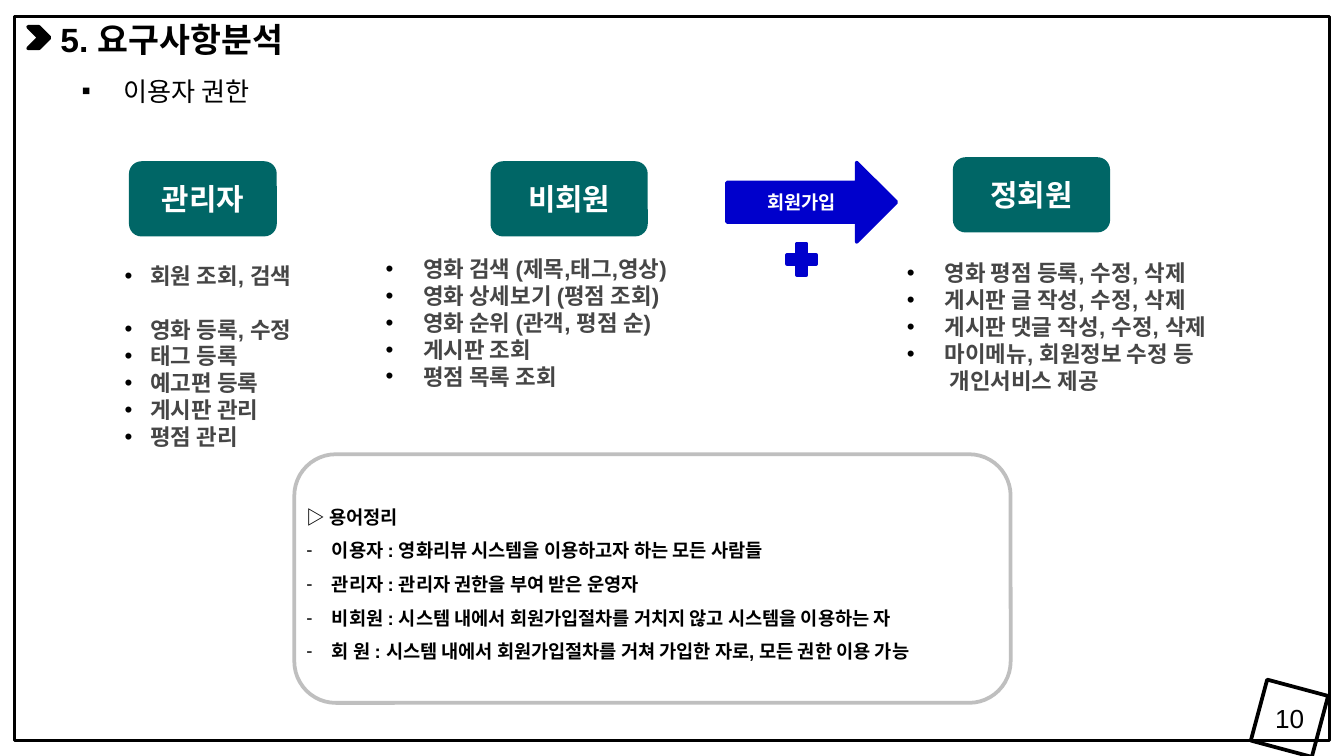
import pptx
import pptx.util
import pptx.dml.color
import pptx.enum.shapes
import pptx.enum.text
import pptx.oxml.ns
from lxml import etree

Inches = pptx.util.Inches
Pt = pptx.util.Pt
RGBColor = pptx.dml.color.RGBColor
SHAPE = pptx.enum.shapes.MSO_SHAPE
ALIGN = pptx.enum.text.PP_ALIGN
ANCHOR = pptx.enum.text.MSO_ANCHOR
qn = pptx.oxml.ns.qn

BLACK = RGBColor(0x00, 0x00, 0x00)
WHITE = RGBColor(0xFF, 0xFF, 0xFF)
TEAL = RGBColor(0x00, 0x66, 0x66)
BLUE = RGBColor(0x00, 0x00, 0xCC)
GREY = RGBColor(0x46, 0x46, 0x46)
SILVER = RGBColor(0xBF, 0xBF, 0xBF)
KOREAN = "Noto Sans CJK KR"

TITLE = {"size": Pt(18), "bold": True, "name": "Arial"}
SUBTITLE = {"size": Pt(14), "bold": False, "name": KOREAN}
ROLE = {"size": Pt(16), "bold": True, "name": "Arial"}
RIGHT = {"size": Pt(12), "bold": True, "name": "Arial"}
SMALL = {"size": Pt(10), "bold": True, "name": "Arial"}
NUMBER = {"size": Pt(14), "bold": False, "name": "Arial"}

CENTERED = {"alignment": ALIGN.CENTER}
NO_INSETS = {"margin_left": 0, "margin_top": 0, "margin_right": 0, "margin_bottom": 0}

ROLES = [
    ((0.96, 1.2, 1.1, 0.56), "관리자", (0.83, 1.9, 1.56, 1.31), 0.19, 0.19,
     ["회원 조회, 검색", "영화 등록, 수정", "태그 등록", "예고편 등록", "게시판 관리", "평점 관리"]),
    ((3.65, 1.2, 1.17, 0.56), "비회원", (2.7, 1.85, 2.72, 1.11), 0.35, 0.28,
     ["영화 검색 (제목,태그,영상)", "영화 상세보기 (평점 조회)", "영화 순위 (관객, 평점 순)",
      "게시판 조회", "평점 목록 조회"]),
    ((7.09, 1.17, 1.17, 0.56), "정회원", (6.58, 1.88, 2.85, 1.11), 0.35, 0.28,
     ["영화 평점 등록, 수정, 삭제", "게시판 글 작성, 수정, 삭제", "게시판 댓글 작성, 수정, 삭제",
      "마이메뉴, 회원정보 수정 등\v 개인서비스 제공"]),
]
TERMS = [
    "이용자 : 영화리뷰 시스템을 이용하고자 하는 모든 사람들",
    "관리자 : 관리자 권한을 부여 받은 운영자",
    "비회원 : 시스템 내에서 회원가입절차를 거치지 않고 시스템을 이용하는 자",
    "회 원 : 시스템 내에서 회원가입절차를 거쳐 가입한 자로, 모든 권한 이용 가능",
]


def apply(target, values):
    for key, value in values.items():
        setattr(target, key, value)


def place(box):
    return [Inches(length) for length in box]


def add_bullet(paragraph, mark, left, hang):
    properties = paragraph._p.get_or_add_pPr()
    properties.set("marL", str(Inches(left)))
    properties.set("indent", str(-Inches(hang)))
    color = etree.SubElement(properties, qn("a:buClr"))
    etree.SubElement(color, qn("a:srgbClr"), val=str(BLACK))
    etree.SubElement(properties, qn("a:buFont"), typeface="Arial")
    etree.SubElement(properties, qn("a:buChar"), char=mark)


def write(paragraph, text, style, color, layout=None, bullet=None):
    if bullet:
        add_bullet(paragraph, *bullet)
    paragraph.text = text
    apply(paragraph, layout or {})
    for run in paragraph.runs:
        apply(run.font, style)
        run.font.color.rgb = color
        run.font._element.set("kern", "0")
        etree.SubElement(run.font._element, qn("a:ea"), typeface=KOREAN)


def add_figure(shapes, kind, box, fill=None, line=None, width=2):
    figure = shapes.add_shape(kind, *place(box))
    figure.shadow.inherit = False
    if fill is None:
        figure.fill.background()
    else:
        figure.fill.solid()
        figure.fill.fore_color.rgb = fill
    if line is None:
        figure.line.fill.background()
    else:
        figure.line.color.rgb = line
        figure.line.width = Pt(width)
    return figure


def add_text_frame(shapes, box, wrap=True):
    frame = shapes.add_textbox(*place(box)).text_frame
    frame.word_wrap = wrap
    return frame


def add_heading(slide, box):
    left, top, width, height = box
    add_figure(slide.shapes, SHAPE.CHEVRON, (left, top + 0.11, 0.16, 0.16), BLACK, BLACK)
    title = slide.shapes.title
    apply(title, dict(zip(("left", "top", "width", "height"),
                          place((left + 0.14, top, width - 0.14, 0.4)))))
    apply(title.text_frame, {"word_wrap": True, "vertical_anchor": ANCHOR.TOP})
    write(title.text_frame.paragraphs[0], "5. 요구사항분석", TITLE, BLACK, {"alignment": ALIGN.LEFT})
    subtitle = add_text_frame(slide.shapes, (left + 0.3, top + 0.42, 1.56, 0.34), False)
    write(subtitle.paragraphs[0], "이용자 권한", SUBTITLE, BLACK, bullet=("▪", 0.31, 0.31))


def add_role(slide, button_box, role, list_box, left, hang, rights):
    button = add_figure(slide.shapes, SHAPE.ROUNDED_RECTANGLE, button_box, TEAL)
    apply(button.text_frame, {**NO_INSETS, "vertical_anchor": ANCHOR.MIDDLE})
    write(button.text_frame.paragraphs[0], role, ROLE, WHITE, CENTERED)
    frame = add_text_frame(slide.shapes, list_box)
    for index, right in enumerate(rights):
        paragraph = frame.add_paragraph() if index else frame.paragraphs[0]
        gap = {"space_before": Pt(14.4)} if role == "관리자" and index == 1 else {}
        write(paragraph, right, RIGHT, GREY, gap, ("•", left, hang))


def add_signup(slide, box):
    left, top, width, height = box
    arrow = add_figure(slide.shapes, SHAPE.RIGHT_ARROW, (left, top, width, 0.59), BLUE, BLUE)
    apply(arrow.text_frame, {"word_wrap": True, "vertical_anchor": ANCHOR.MIDDLE})
    write(arrow.text_frame.paragraphs[0], "회원가입", SMALL, WHITE, CENTERED)
    add_figure(slide.shapes, SHAPE.MATH_PLUS, (left + 0.41, top + 0.56, 0.29, 0.32), BLUE, BLUE)


def add_terms(slide, box):
    panel = add_figure(slide.shapes, SHAPE.ROUNDED_RECTANGLE, box, WHITE, SILVER)
    fill_color = panel._element.spPr.find(qn("a:solidFill")).find(qn("a:srgbClr"))
    etree.SubElement(fill_color, qn("a:alpha"), val="30000")
    frame = panel.text_frame
    apply(frame, {**NO_INSETS, "word_wrap": True, "vertical_anchor": ANCHOR.MIDDLE})
    spacing = {"line_spacing": 1.5, "alignment": ALIGN.LEFT}
    write(frame.paragraphs[0], "▷ 용어정리", SMALL, BLACK, spacing)
    for term in TERMS:
        write(frame.add_paragraph(), term, SMALL, BLACK, spacing, ("-", 0.19, 0.19))


def add_page_number(slide, box):
    left, top, width, height = box
    badge = slide.shapes.add_group_shape()
    square = add_figure(badge.shapes, SHAPE.RECTANGLE, (left + 0.02, top, height, height), line=BLACK)
    square.rotation = 15
    frame = add_text_frame(badge.shapes, (left, top + 0.06, width, 0.34))
    frame.vertical_anchor = ANCHOR.MIDDLE
    write(frame.paragraphs[0], "10", NUMBER, BLACK, CENTERED)


def main():
    deck = pptx.Presentation()
    apply(deck, {"slide_width": Inches(10), "slide_height": Inches(10 * 9 / 16)})
    slide = deck.slides.add_slide(deck.slide_layouts.get_by_name("Title Only"))
    add_figure(slide.shapes, SHAPE.RECTANGLE, (0.11, 0.12, 9.78, 5.39), line=BLACK, width=1.5)
    add_heading(slide, (0.21, 0.09, 5.27, 0.76))
    for role in ROLES:
        add_role(slide, *role)
    add_signup(slide, (5.41, 1.21, 1.26, 0.88))
    add_terms(slide, (2.19, 3.38, 5.33, 1.85))
    add_page_number(slide, (9.34, 5.11, 0.51, 0.47))
    deck.save("out.pptx")


if __name__ == "__main__":
    main()
